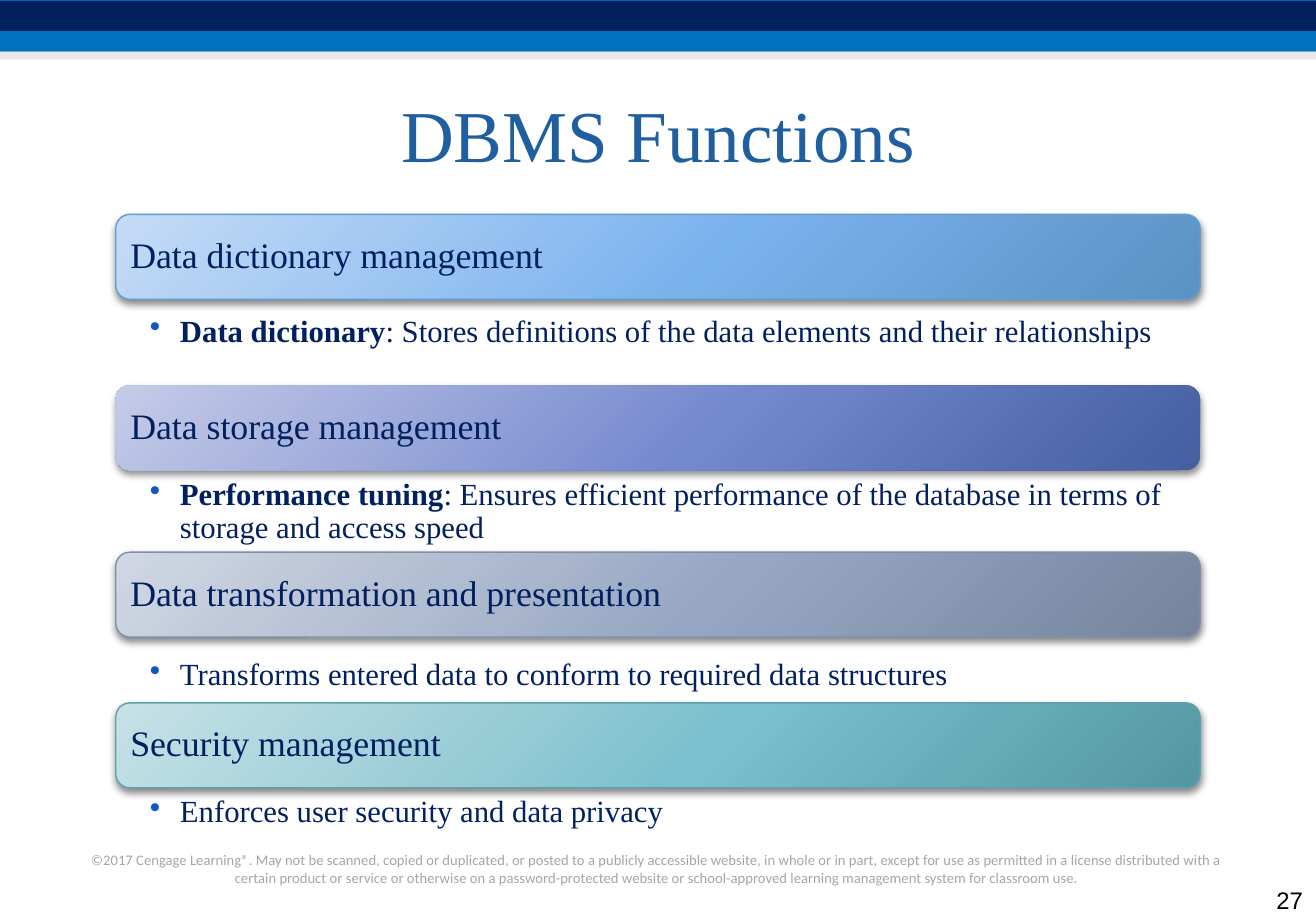
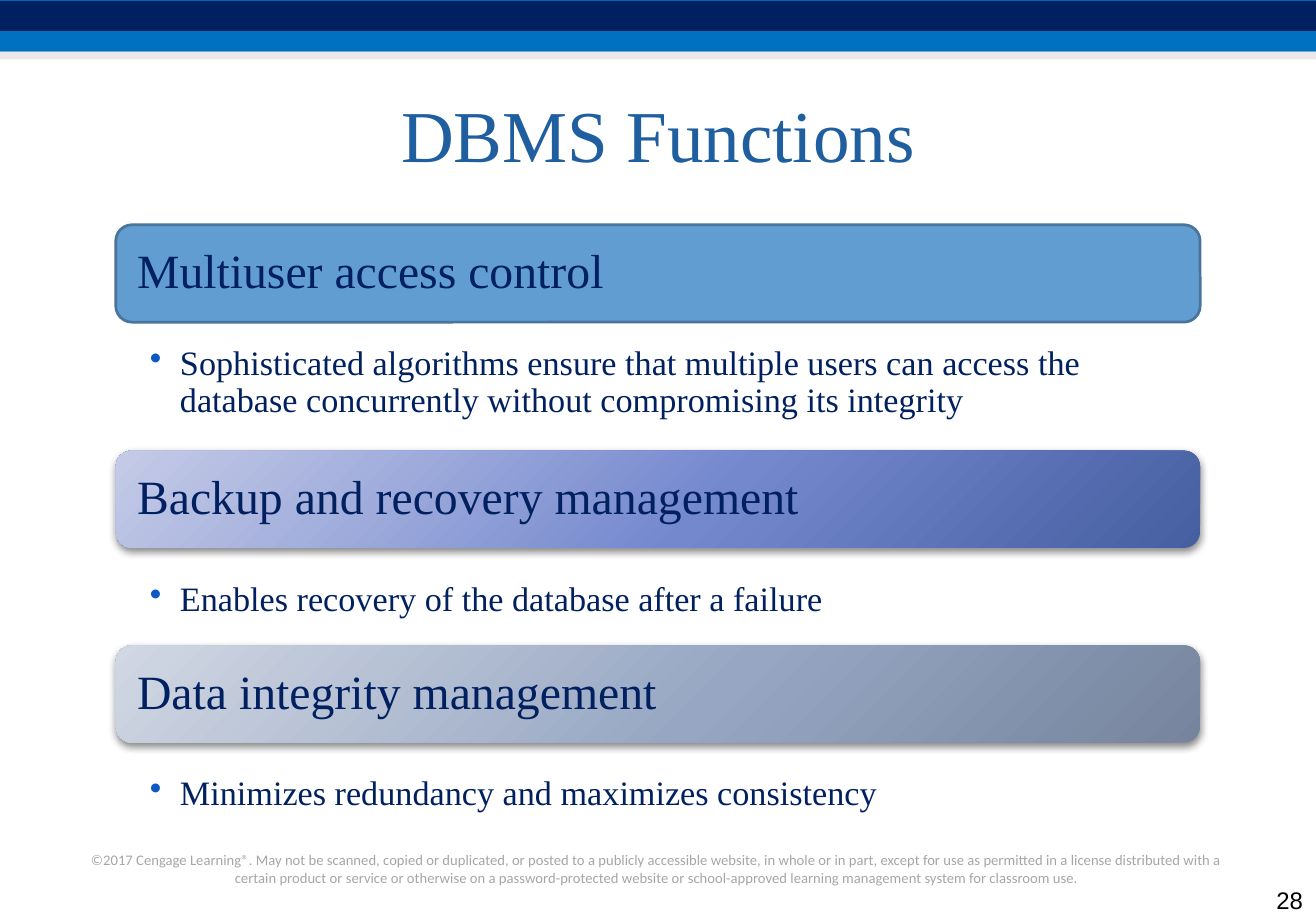
from lxml import etree
from pptx import Presentation
from pptx.dml.color import RGBColor
from pptx.enum import shapes, text
from pptx.oxml import parse_xml
from pptx.oxml.ns import nsdecls, qn
from pptx.util import Cm, Pt

COLORS = {
    "navy": "002060", "blue": "0070C0", "mist": "D8D3D9", "title": "1F5FA0",
    "bullet": "0E58C4", "footer": "A6A6A6", "black": "000000",
    "sky": "629DD1", "sky_edge": "49749B", "slate": "7F8FA9", "teal": "5AA2AE",
}
GRADIENTS = {
    "sky": ("C5DBF6", "7AB2EE", "5B92C3"),
    "indigo": ("C5CBE7", "7488CE", "455FA0"),
    "slate": ("D1D7E3", "97A7C3", "76859D"),
    "teal": ("C7E1E7", "7CC0CD", "5497A2"),
}
STOPS = (0, 55, 100)
SERIF = "Times New Roman"
PAGE_W, PAGE_H = 25.4, 17.78
BAR_W = 20.93
BAR_X = (PAGE_W - BAR_W) / 2

TITLE = "DBMS Functions"
FOOTER = (
    "©2017 Cengage Learning®. May not be scanned, copied or duplicated, or posted to a "
    "publicly accessible website, in whole or in part, except for use as permitted in a "
    "license distributed with a certain product or service or otherwise on a "
    "password-protected website or school-approved learning management system for "
    "classroom use."
)
# top, height and colour of each band
BANDS = [(0, 1, "blue"), (0.02, 0.58, "navy"), (1, 0.15, "mist")]

# item: heading, top, gradient, line (colour, points),
#       bold term, detail, detail top, detail height
SLIDES = [
    dict(
        number=27, bar_h=1.64, bar_size=19.6, bar_inset=0.2,
        detail_w=BAR_W, detail_size=16.8, detail_insets=(0.66, 0.08, 0.38, 0.08),
        items=[
            ("Data dictionary management", 4.14, "sky", ("sky", 0.75), "Data dictionary",
             ": Stores definitions of the data elements and their relationships", 6.02, 1.5),
            ("Data storage management", 7.44, "indigo", None, "Performance tuning",
             ": Ensures efficient performance of the database in terms of storage and "
             "access speed", 9.17, 1.5),
            ("Data transformation and presentation", 10.66, "slate", ("slate", 0.75), "",
             "Transforms entered data to conform to required data structures", 12.65, 1.12),
            ("Security management", 13.57, "teal", ("teal", 0.75), "",
             "Enforces user security and data privacy", 15.29, 1.12),
        ],
    ),
    dict(
        number=28, bar_h=1.88, bar_size=26.1, bar_inset=0.32,
        detail_w=20.55, detail_size=18.7, detail_insets=(0.66, 0.1, 0.58, 0.1),
        items=[
            ("Multiuser access control", 4.34, None, ("sky_edge", 1.5), "",
             "Sophisticated algorithms ensure that multiple users can access the database "
             "concurrently without compromising its integrity", 6.58, 1.9),
            ("Backup and recovery management", 8.7, "indigo", None, "",
             "Enables recovery of the database after a failure", 11.13, 1.32),
            ("Data integrity management", 12.46, "slate", None, "",
             "Minimizes redundancy and maximizes consistency", 14.88, 0.94),
        ],
    ),
]


def rgb(name):
    return RGBColor.from_string(COLORS[name])


def set_font(p, font, size, color):
    p.font.name, p.font.size = font, Pt(size)
    p.font.color.rgb = rgb(color)


def set_insets(tf, left, top, right, bottom):
    tf.margin_left, tf.margin_top = Cm(left), Cm(top)
    tf.margin_right, tf.margin_bottom = Cm(right), Cm(bottom)


def add_text(slide, box, words, font, size, color, align, anchor=text.MSO_ANCHOR.TOP):
    tf = slide.shapes.add_textbox(*map(Cm, box)).text_frame
    tf.word_wrap, tf.vertical_anchor = True, anchor
    p = tf.paragraphs[0]
    p.text, p.alignment = words, align
    set_font(p, font, size, color)


def add_block(slide, preset, box, color):
    sp = slide.shapes.add_shape(preset, *map(Cm, box))
    sp.shadow.inherit = False
    sp.fill.solid()
    sp.fill.fore_color.rgb = rgb(color)
    sp.line.fill.background()
    return sp


def shade(sp, gradient):
    """Give a bar its radial gradient and the soft shadow below it."""
    stops = "".join(
        f'<a:gs pos="{pos * 1000}"><a:srgbClr val="{color}"/></a:gs>'
        for pos, color in zip(STOPS, GRADIENTS[gradient]))
    fill = parse_xml(
        f'<a:gradFill {nsdecls("a")} rotWithShape="1"><a:gsLst>{stops}</a:gsLst>'
        '<a:path path="circle"><a:fillToRect l="-40000" t="-90000" r="140000" b="190000"/>'
        '</a:path></a:gradFill>')
    sp_pr = sp.element.spPr
    sp_pr.replace(sp_pr.find(qn("a:solidFill")), fill)
    sp_pr.find(qn("a:effectLst")).append(parse_xml(
        f'<a:outerShdw {nsdecls("a")} blurRad="{Pt(4)}" dist="{Pt(2)}" dir="5400000" '
        'rotWithShape="0"><a:srgbClr val="000000"><a:alpha val="45000"/></a:srgbClr>'
        '</a:outerShdw>'))


def add_bar(slide, layout, heading, top, gradient, line):
    sp = add_block(slide, shapes.MSO_SHAPE.ROUNDED_RECTANGLE,
                   (BAR_X, top, BAR_W, layout["bar_h"]), "sky")
    if gradient:
        shade(sp, gradient)
    if line:
        color, width = line
        sp.line.color.rgb, sp.line.width = rgb(color), Pt(width)
    tf = sp.text_frame
    tf.word_wrap, tf.vertical_anchor = True, text.MSO_ANCHOR.MIDDLE
    set_insets(tf, *[layout["bar_inset"]] * 4)
    p = tf.paragraphs[0]
    p.text, p.alignment, p.line_spacing = heading, text.PP_ALIGN.LEFT, 0.9
    set_font(p, SERIF, layout["bar_size"], "navy")


def add_detail(slide, layout, term, detail, top, height):
    box = BAR_X, top, layout["detail_w"], height
    tf = slide.shapes.add_textbox(*map(Cm, box)).text_frame
    tf.word_wrap = True
    set_insets(tf, *layout["detail_insets"])
    p = tf.paragraphs[0]
    p.level, p.line_spacing = 1, 0.9
    p_pr = p._p.get_or_add_pPr()
    p_pr.set("marL", str(Cm(0.58)))
    p_pr.set("indent", str(-Cm(0.58)))
    bullet_color = etree.SubElement(p_pr, qn("a:buClr"))
    etree.SubElement(bullet_color, qn("a:srgbClr"), val=COLORS["bullet"])
    etree.SubElement(p_pr, qn("a:buChar"), char="•")
    set_font(p, SERIF, layout["detail_size"], "navy")
    if term:
        r = p.add_run()
        r.text, r.font.bold = term, True
    p.add_run().text = detail


def add_frame(slide, number):
    """Draw the bands, footer, title and number that every slide has."""
    for top, height, color in BANDS:
        sp = add_block(slide, shapes.MSO_SHAPE.RECTANGLE, (0, top, PAGE_W, height), color)
    mist = sp.element.spPr.find(qn("a:solidFill"))[0]
    etree.SubElement(mist, qn("a:alpha"), val="50000")
    center = text.PP_ALIGN.CENTER
    add_text(slide, (1.47, 16.31, 22.43, 0.94), FOOTER, "Calibri", 8, "footer", center)
    add_text(slide, (1.27, 1.19, 22.86, 2.77), TITLE, SERIF, 40, "title", center,
             text.MSO_ANCHOR.MIDDLE)
    add_text(slide, (PAGE_W - 1.27, PAGE_H - 0.79, 1.27, 0.79), str(number), "Arial", 13.1,
             "black", text.PP_ALIGN.RIGHT, text.MSO_ANCHOR.BOTTOM)


def main():
    prs = Presentation()
    prs.slide_width, prs.slide_height = Cm(PAGE_W), Cm(PAGE_H)
    for layout in SLIDES:
        slide = prs.slides.add_slide(prs.slide_layouts[6])
        add_frame(slide, layout["number"])
        for heading, top, gradient, line, *detail in layout["items"]:
            add_bar(slide, layout, heading, top, gradient, line)
            add_detail(slide, layout, *detail)
    prs.save("out.pptx")


if __name__ == "__main__":
    main()
